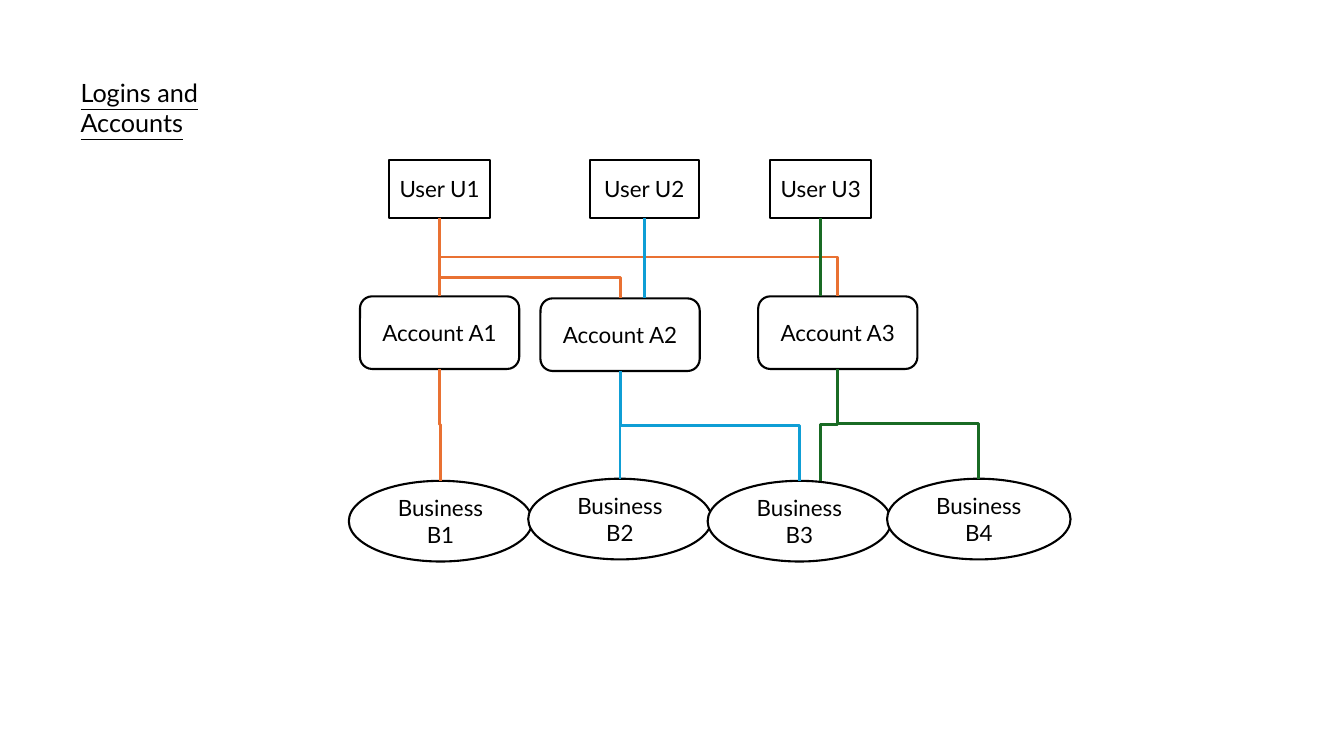
from dataclasses import dataclass
from typing import Optional

from lxml import etree
from pptx import Presentation
from pptx import util as u
from pptx.dml.color import RGBColor
from pptx.enum import shapes, text
from pptx.oxml import ns

SLIDE_WIDTH, SLIDE_HEIGHT = u.Inches(13.33), u.Inches(7.5)
TOP, BOTTOM = 0, 2


@dataclass(frozen=True)
class Theme:
    font: str = "Lato"
    title_size: int = 18
    node_size: int = 16
    outline: float = 1.5
    link: float = 2
    ink: RGBColor = RGBColor.from_string("000000")
    paper: RGBColor = RGBColor.from_string("FFFFFF")
    orange: RGBColor = RGBColor.from_string("E97132")
    blue: RGBColor = RGBColor.from_string("0F9ED5")
    green: RGBColor = RGBColor.from_string("196B24")


@dataclass(frozen=True)
class Node:
    """A labelled box; lengths are percentages of the slide's size."""
    label: str
    kind: shapes.MSO_SHAPE
    centre: float
    top: float
    width: float
    height: float


@dataclass(frozen=True)
class Link:
    """A line down to a target's top: at its middle, or at a landing in percent."""
    source: str
    target: str
    colour: RGBColor
    bend: float = 0.5
    landing: Optional[float] = None
    straight: bool = False


THEME = Theme()

ACCOUNTS = [
    Node(f"Account A{number}", shapes.MSO_SHAPE.ROUNDED_RECTANGLE, centre, top, 11.85, 9.6)
    for number, (centre, top) in enumerate([(32.71, 39.2), (46.14, 39.47), (62.34, 39.2)], 1)
]
USERS = [
    Node(f"User U{number}", shapes.MSO_SHAPE.RECTANGLE, centre, 21.2, width, 7.6)
    for number, (centre, width) in enumerate([(32.71, 7.5), (47.94, 8.1), (61.07, 7.5)], 1)
]
BUSINESSES = [
    Node(f"Business B{number}", shapes.MSO_SHAPE.OVAL, 32.78 + 13.35 * (number - 1), top, 13.65, 10.67)
    for number, top in enumerate([63.6, 63.33, 63.6, 63.33], 1)
]
LINKS = [
    Link("User U1", "Account A2", THEME.orange, bend=0.74),
    Link("User U1", "Account A3", THEME.orange),
    Link("User U2", "Account A2", THEME.blue, landing=47.94, straight=True),
    Link("User U3", "Account A3", THEME.green, landing=61.07, straight=True),
    Link("Account A2", "Business B2", THEME.blue),
    Link("Account A3", "Business B3", THEME.green, landing=61.07),
    Link("User U1", "Account A1", THEME.orange),
    Link("Account A1", "Business B1", THEME.orange),
    Link("Account A2", "Business B3", THEME.blue),
    Link("Account A3", "Business B4", THEME.green),
]


def across(percent: float) -> int:
    return round(SLIDE_WIDTH * percent / 100)


def down(percent: float) -> int:
    return round(SLIDE_HEIGHT * percent / 100)


def format_text(frame, size: float, alignment, underline: bool = False) -> None:
    for paragraph in frame.paragraphs:
        paragraph.alignment = alignment
        for run in paragraph.runs:
            run.font.name = THEME.font
            run.font.size = u.Pt(size)
            run.font.color.rgb = THEME.ink
            run.font.underline = underline


def draw_title(slide) -> None:
    box = slide.shapes.add_textbox(across(5.25), down(9.6), across(17.7), down(5.33))
    frame = box.text_frame
    frame.word_wrap = True
    frame.text = "Logins and Accounts"
    format_text(frame, THEME.title_size, text.PP_ALIGN.LEFT, underline=True)


def draw_node(slide, node: Node):
    shape = slide.shapes.add_shape(
        node.kind, across(node.centre - node.width / 2), down(node.top),
        across(node.width), down(node.height))
    shape.shadow.inherit = False
    shape.fill.solid()
    shape.fill.fore_color.rgb = THEME.paper
    shape.line.color.rgb = THEME.ink
    shape.line.width = u.Pt(THEME.outline)
    shape.text_frame.text = node.label
    shape.text_frame.word_wrap = True
    shape.text_frame.vertical_anchor = text.MSO_ANCHOR.MIDDLE
    format_text(shape.text_frame, THEME.node_size, text.PP_ALIGN.CENTER)
    return shape


def turn_downwards(connector, start: tuple, end: tuple, bend: float) -> None:
    """Rotate an elbow so that it leaves and arrives vertically."""
    (start_x, start_y), (end_x, end_y) = start, end
    length, spread = end_y - start_y, abs(end_x - start_x)
    connector.left = (start_x + end_x - length) // 2
    connector.top = (start_y + end_y - spread) // 2
    connector.width, connector.height = length, spread
    properties = connector._element.spPr
    frame = properties.find(ns.qn("a:xfrm"))
    for flip in ("flipH", "flipV"):
        frame.attrib.pop(flip, None)
    rightwards = end_x > start_x
    frame.set("rot", str((270 if rightwards else 90) * 60000))
    if rightwards:
        frame.set("flipH", "1")
    geometry = properties.find(ns.qn("a:prstGeom"))
    adjustments = geometry.find(ns.qn("a:avLst"))
    if adjustments is None:
        adjustments = etree.SubElement(geometry, ns.qn("a:avLst"))
    etree.SubElement(adjustments, ns.qn("a:gd"), name="adj1", fmla=f"val {round(bend * 100000)}")


def draw_link(slide, link: Link, drawn: dict) -> None:
    source, target = drawn[link.source], drawn[link.target]
    start = source.left + source.width // 2, source.top + source.height
    middle = target.left + target.width // 2
    end = middle if link.landing is None else across(link.landing), target.top
    kind = shapes.MSO_CONNECTOR.STRAIGHT if link.straight else shapes.MSO_CONNECTOR.ELBOW
    connector = slide.shapes.add_connector(kind, *start, *end)
    connector.begin_connect(source, BOTTOM)
    if link.landing is None:
        connector.end_connect(target, TOP)
    if not link.straight:
        turn_downwards(connector, start, end, link.bend)
    connector.line.color.rgb = link.colour
    connector.line.width = u.Pt(THEME.link)
    etree.SubElement(connector._element.spPr, ns.qn("a:effectLst"))


def main() -> None:
    presentation = Presentation()
    presentation.slide_width, presentation.slide_height = SLIDE_WIDTH, SLIDE_HEIGHT
    slide = presentation.slides.add_slide(presentation.slide_layouts[6])
    draw_title(slide)
    drawn = {node.label: draw_node(slide, node) for node in ACCOUNTS + USERS + BUSINESSES}
    for link in LINKS:
        draw_link(slide, link, drawn)
    presentation.save("out.pptx")


if __name__ == "__main__":
    main()
